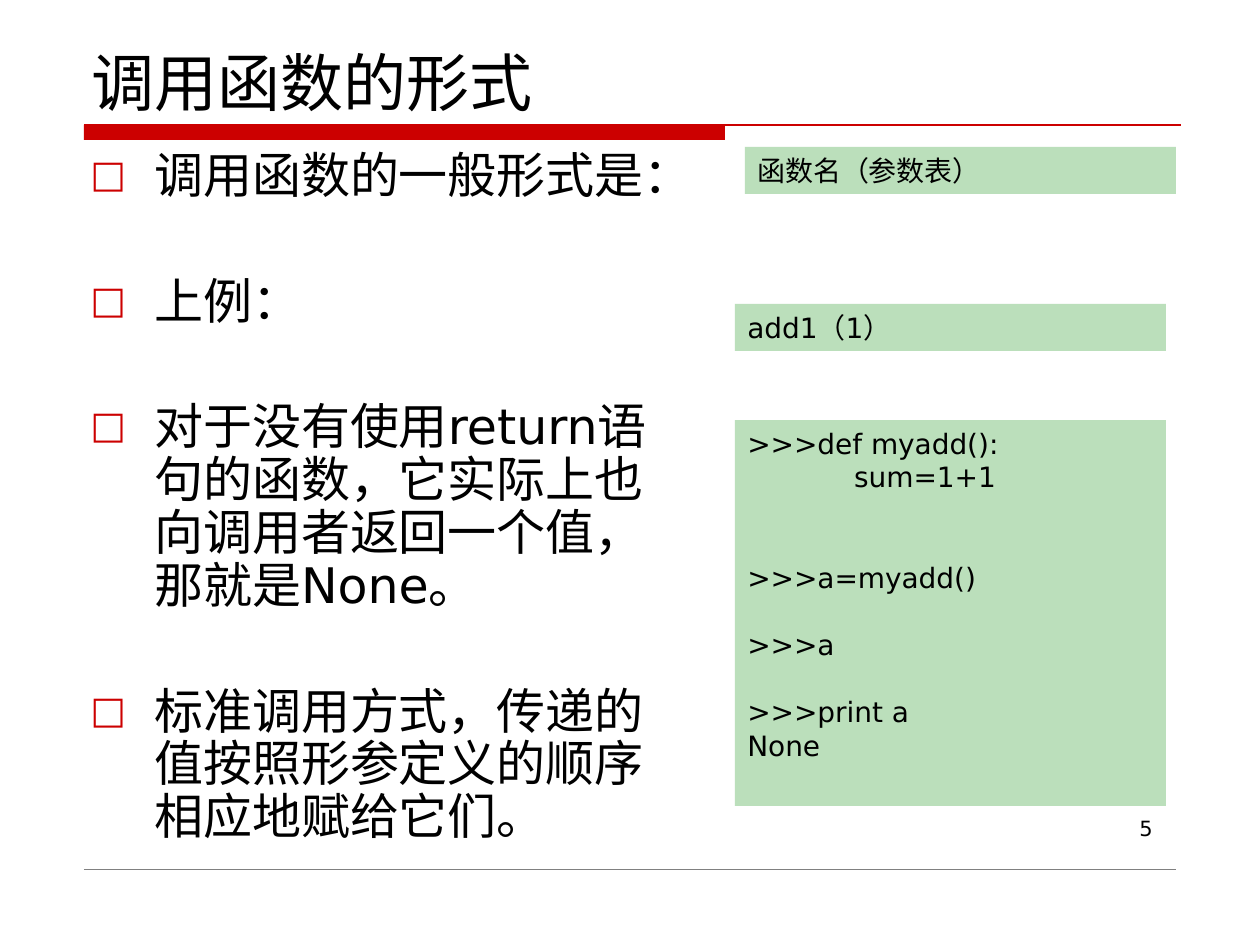
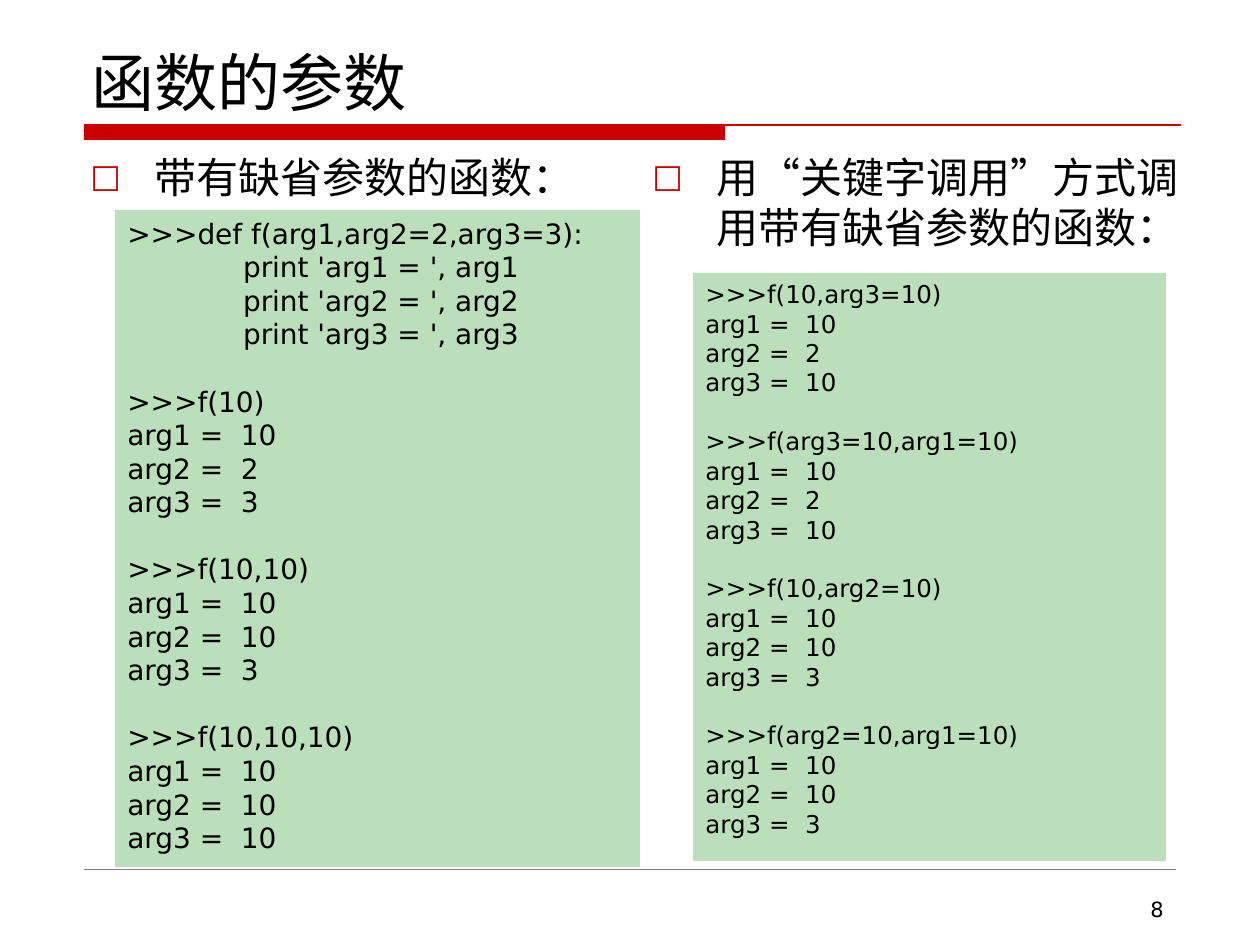
from lxml import etree
from pptx import Presentation
from pptx import util as u
from pptx.dml.color import RGBColor
from pptx.enum import shapes, text
from pptx.oxml.ns import qn

PX = 914400 / 126
FONT = "DejaVu Sans"
COLORS = {"text": "000000", "accent": "CC0000", "code": "BBDFBB", "rule": "808080"}
HANGING = 64  # bullet indent
SPACE_WIDTH = 0.318  # of the font size
LINE_HEIGHT = 1.2  # of the font size


def px(n):
    return u.Emu(round(n * PX))


def color(name):
    return RGBColor.from_string(COLORS[name])


# Text
def write(p, words, size=16, align=text.PP_ALIGN.LEFT, before=0, spacing=None):
    p.alignment = align
    p.space_before = u.Pt(before)
    if spacing:
        p.line_spacing = spacing
    r = p.add_run()
    r.text = words
    r.font.name = FONT
    r.font.size = u.Pt(size)
    r.font.color.rgb = color("text")


def set_indent(p, left, first=0):
    pPr = p._p.get_or_add_pPr()
    pPr.set("marL", str(int(left)))
    pPr.set("indent", str(int(first)))
    return pPr


def set_bullet(p):
    pPr = set_indent(p, px(HANGING), -px(HANGING))
    bu_clr = etree.SubElement(pPr, qn("a:buClr"))
    etree.SubElement(bu_clr, qn("a:srgbClr"), val=COLORS["accent"])
    etree.SubElement(pPr, qn("a:buSzPct"), val="77000")
    etree.SubElement(pPr, qn("a:buFont"), typeface=FONT)
    etree.SubElement(pPr, qn("a:buChar"), char="□")


def next_paragraph(tf, i):
    return tf.add_paragraph() if i else tf.paragraphs[0]


def add_text_box(s, x, y, w, h):
    tf = s.shapes.add_textbox(px(x), px(y), px(w), px(h)).text_frame
    tf.word_wrap = True
    return tf


def add_bullets(s, x, y, w, h, items, size, gap=0, spacing=None):
    tf = add_text_box(s, x, y, w, h)
    for i, item in enumerate(items):
        p = next_paragraph(tf, i)
        write(p, item, size=size, before=gap if i else 0, spacing=spacing)
        set_bullet(p)


# Shapes
def add_rect(s, x, y, w, h, fill):
    sp = s.shapes.add_shape(shapes.MSO_SHAPE.RECTANGLE, px(x), px(y), px(w), px(h))
    sp.shadow.inherit = False
    sp.fill.solid()
    sp.fill.fore_color.rgb = color(fill)
    sp.line.fill.background()
    return sp


def add_rule(s, x1, x2, y, line_color, width):
    line = s.shapes.add_connector(shapes.MSO_CONNECTOR.STRAIGHT,
                                  px(x1), px(y), px(x2), px(y))
    line.line.color.rgb = color(line_color)
    line.line.width = u.Pt(width)
    etree.SubElement(line._element.spPr, qn("a:effectLst"))


def add_code(s, x, y, w, h, code, size=16):
    """Blank lines become space before; leading spaces become an indent."""
    tf = add_rect(s, x, y, w, h, "code").text_frame
    tf.word_wrap = True
    tf.vertical_anchor = text.MSO_ANCHOR.TOP
    count = blanks = 0
    for line in code.split("\n"):
        words = line.lstrip()
        if not words:
            blanks += 1
            continue
        p = next_paragraph(tf, count)
        write(p, words, size=size, before=round(blanks * LINE_HEIGHT * size, 1))
        set_indent(p, u.Pt((len(line) - len(words)) * SPACE_WIDTH * size))
        count += 1
        blanks = 0


def call_results(*calls):
    """Each call is its argument text followed by the three printed values."""
    blocks = []
    for args, *values in calls:
        printed = [f"arg{n} =  {value}" for n, value in enumerate(values, 1)]
        blocks.append("\n".join([f">>>f({args})"] + printed))
    return "\n\n".join(blocks)


# Slide frame: title, band, footer rule and number
def add_slide(prs, title, number, number_x, number_y):
    s = prs.slides.add_slide(prs.slide_layouts[5])
    add_rect(s, 84, 125, 641, 15, "accent")
    add_rule(s, 84, 1181, 125, "accent", 0.75)
    add_rule(s, 84, 1176, 869, "rule", 0.25)
    sp = s.shapes.title
    sp.left, sp.top, sp.width, sp.height = px(79), px(42), px(1102), px(83)
    tf = sp.text_frame
    tf.word_wrap = True
    tf.auto_size = text.MSO_AUTO_SIZE.NONE
    tf.vertical_anchor = text.MSO_ANCHOR.BOTTOM
    write(tf.paragraphs[0], title, size=36)
    tf = add_text_box(s, number_x, number_y, 273, 37)
    write(tf.paragraphs[0], number, size=12, align=text.PP_ALIGN.RIGHT)
    return s


def build_calling(prs):
    s = add_slide(prs, "调用函数的形式", "5", 892, 809)
    add_bullets(s, 78, 145, 593, 727, [
        "调用函数的一般形式是：",
        "上例：",
        "对于没有使用return语句的函数，它实际上也向调用者返回一个值，那就是None。",
        "标准调用方式，传递的值按照形参定义的顺序相应地赋给它们。",
    ], size=28, gap=41.5, spacing=0.9)
    add_code(s, 745, 147, 431, 47, "函数名（参数表）")
    add_code(s, 735, 304, 431, 47, "add1（1）")
    add_code(s, 735, 420, 431, 386, """>>>def myadd():
            sum=1+1


>>>a=myadd()

>>>a

>>>print a
None""")


def build_parameters(prs):
    s = add_slide(prs, "函数的参数", "8", 903, 890)
    add_bullets(s, 78, 145, 541, 684, ["带有缺省参数的函数："], size=24)
    add_bullets(s, 640, 145, 557, 684,
                ["用“关键字调用”方式调用带有缺省参数的函数："], size=24)
    add_code(s, 693, 273, 473, 588, call_results(
        ("10,arg3=10", 10, 2, 10),
        ("arg3=10,arg1=10", 10, 2, 10),
        ("10,arg2=10", 10, 10, 3),
        ("arg2=10,arg1=10", 10, 10, 3),
    ), size=14)
    definition = """>>>def f(arg1,arg2=2,arg3=3):
             print 'arg1 = ', arg1
             print 'arg2 = ', arg2
             print 'arg3 = ', arg3

"""
    add_code(s, 115, 210, 525, 657, definition + call_results(
        ("10", 10, 2, 3),
        ("10,10", 10, 10, 3),
        ("10,10,10", 10, 10, 10),
    ))


def main():
    prs = Presentation()
    prs.slide_width, prs.slide_height = px(1260), px(945)
    build_calling(prs)
    build_parameters(prs)
    prs.save("out.pptx")


if __name__ == "__main__":
    main()
